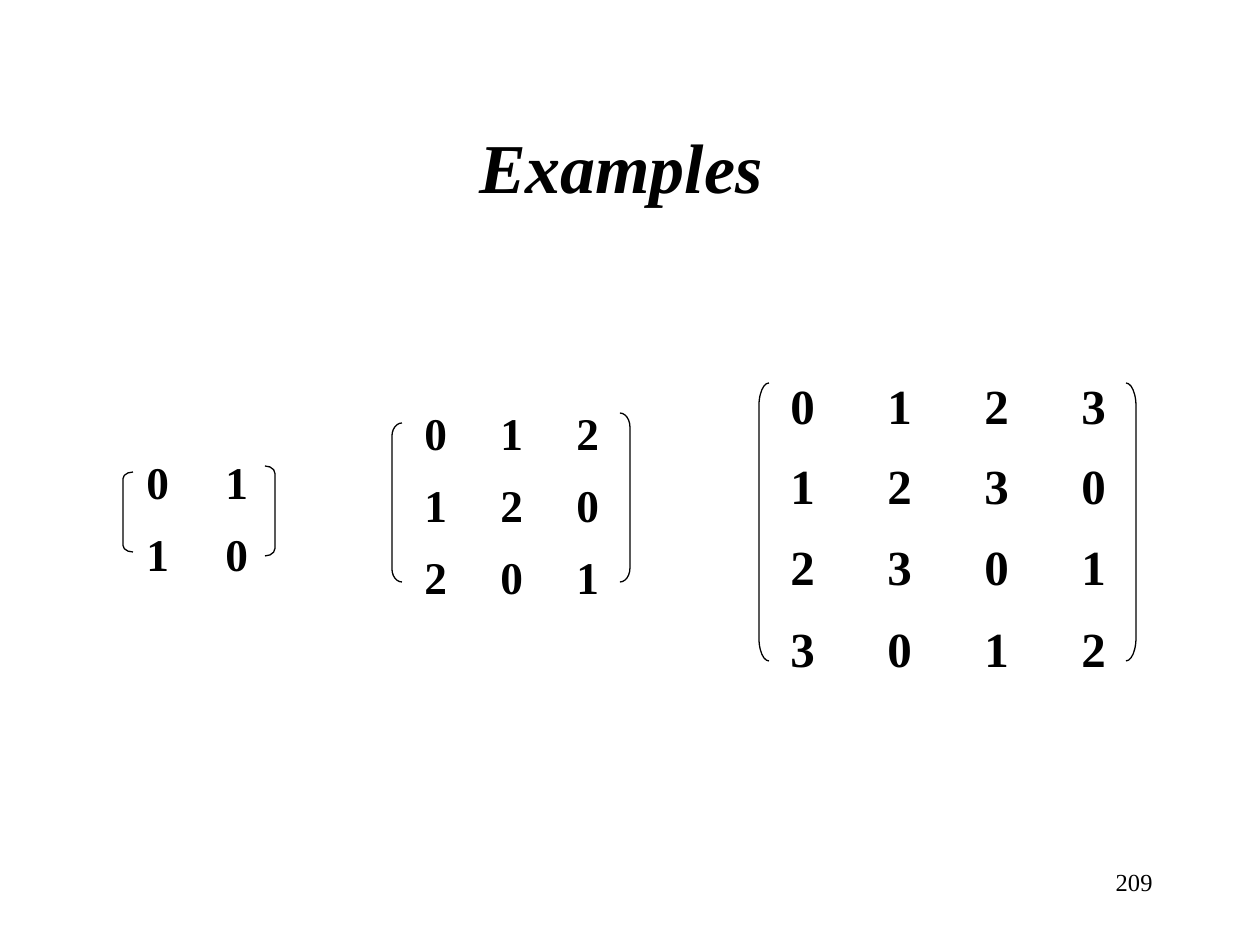
import pptx
import pptx.dml.color
import pptx.enum.shapes
import pptx.enum.text
import pptx.util

BLACK = pptx.dml.color.RGBColor(0, 0, 0)
FONT = "Times New Roman"
SCALE = pptx.util.Inches(10) / 1260
BRACKET_WIDTH = 10
CURVE_SHARE = 0.083

SHAPE = pptx.enum.shapes.MSO_SHAPE
ALIGN = pptx.enum.text.PP_ALIGN
ANCHOR = pptx.enum.text.MSO_ANCHOR


def px(length):
    return pptx.util.Emu(round(length * SCALE))


def add_run(paragraph, text, size, bold=False, italic=False):
    run = paragraph.add_run()
    run.text = text
    run.font.name = FONT
    run.font.size = pptx.util.Pt(size)
    run.font.bold = bold
    run.font.italic = italic
    run.font.color.rgb = BLACK


presentation = pptx.Presentation()
presentation.slide_width = px(1260)
presentation.slide_height = px(945)
slide = presentation.slides.add_slide(presentation.slide_layouts[5])

title = slide.shapes.title
title.left, title.top, title.width, title.height = px(95), px(84), px(1071), px(158)
title.text_frame.vertical_anchor = ANCHOR.MIDDLE
paragraph = title.text_frame.paragraphs[0]
paragraph.alignment = ALIGN.CENTER
add_run(paragraph, "Examples", 40, bold=True, italic=True)
add_run(paragraph, " ", 44, italic=True)

page_number = slide.shapes.add_textbox(px(903), px(861), px(262), px(63))
page_number.text_frame.word_wrap = True
paragraph = page_number.text_frame.paragraphs[0]
paragraph.alignment = ALIGN.RIGHT
add_run(paragraph, "209", 14)

# order, left, top, cell width, cell height, font size,
# then (left, top, height) of the left and the right bracket
matrices = [
    (2, 134, 442, 79, 72, 25.9, (123, 472, 80), (265, 466, 90)),
    (3, 412, 393, 76, 72, 25.9, (392, 423, 159), (620, 413, 169)),
    (4, 778, 363, 97, 81, 28, (759, 383, 278), (1126, 383, 278)),
]

for order, left, top, cell_width, cell_height, size, *brackets in matrices:
    group = slide.shapes.add_group_shape()

    # Each entry is the sum of its row and column, modulo the order
    for row in range(order):
        for column in range(order):
            cell = group.shapes.add_textbox(
                px(left + column * cell_width), px(top + row * cell_height),
                px(cell_width), px(cell_height))
            cell.text_frame.word_wrap = True
            cell.text_frame.margin_top = px(12)
            add_run(cell.text_frame.paragraphs[0], str((row + column) % order),
                    size, bold=True)

    for kind, (bracket_left, bracket_top, height) in zip(
            (SHAPE.LEFT_BRACKET, SHAPE.RIGHT_BRACKET), brackets):
        bracket = group.shapes.add_shape(
            kind, px(bracket_left), px(bracket_top), px(BRACKET_WIDTH), px(height))
        bracket.adjustments[0] = CURVE_SHARE * height / BRACKET_WIDTH
        bracket.shadow.inherit = False
        bracket.fill.background()
        bracket.line.color.rgb = BLACK
        bracket.line.width = pptx.util.Pt(0.75)

presentation.save("out.pptx")
